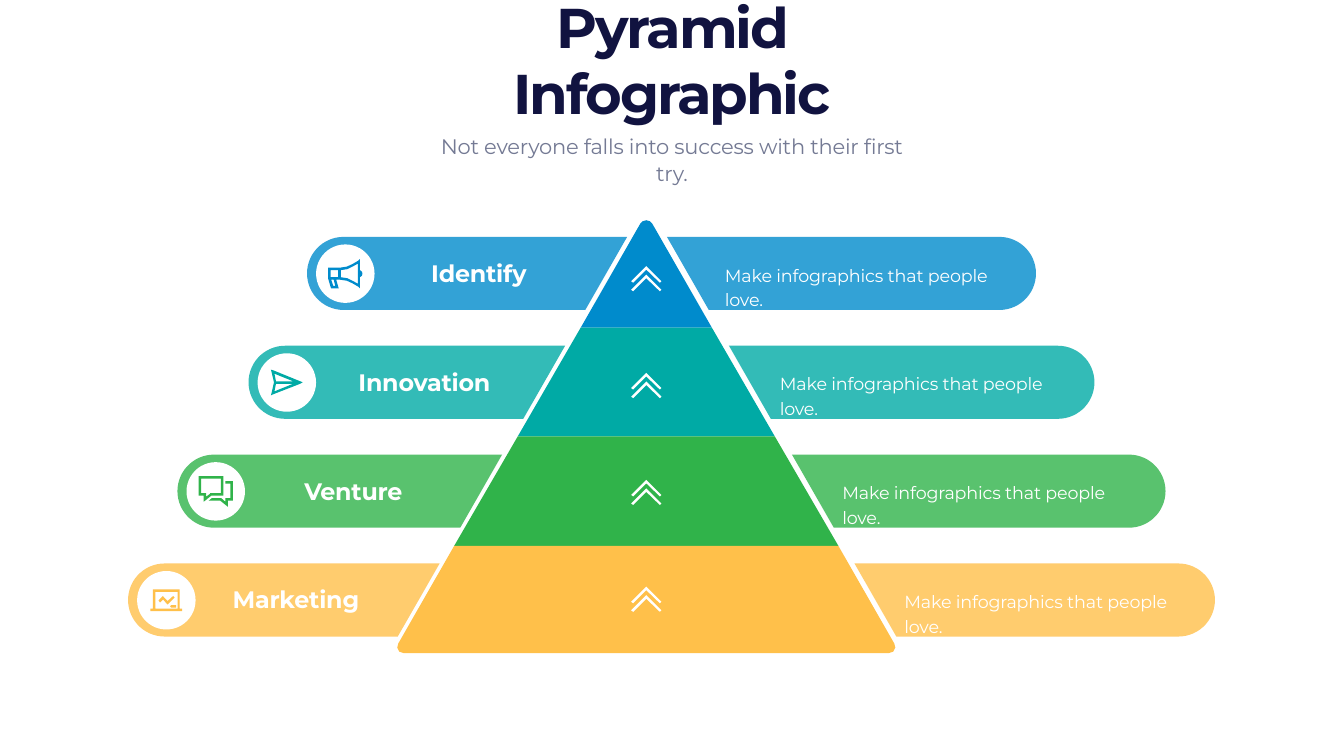
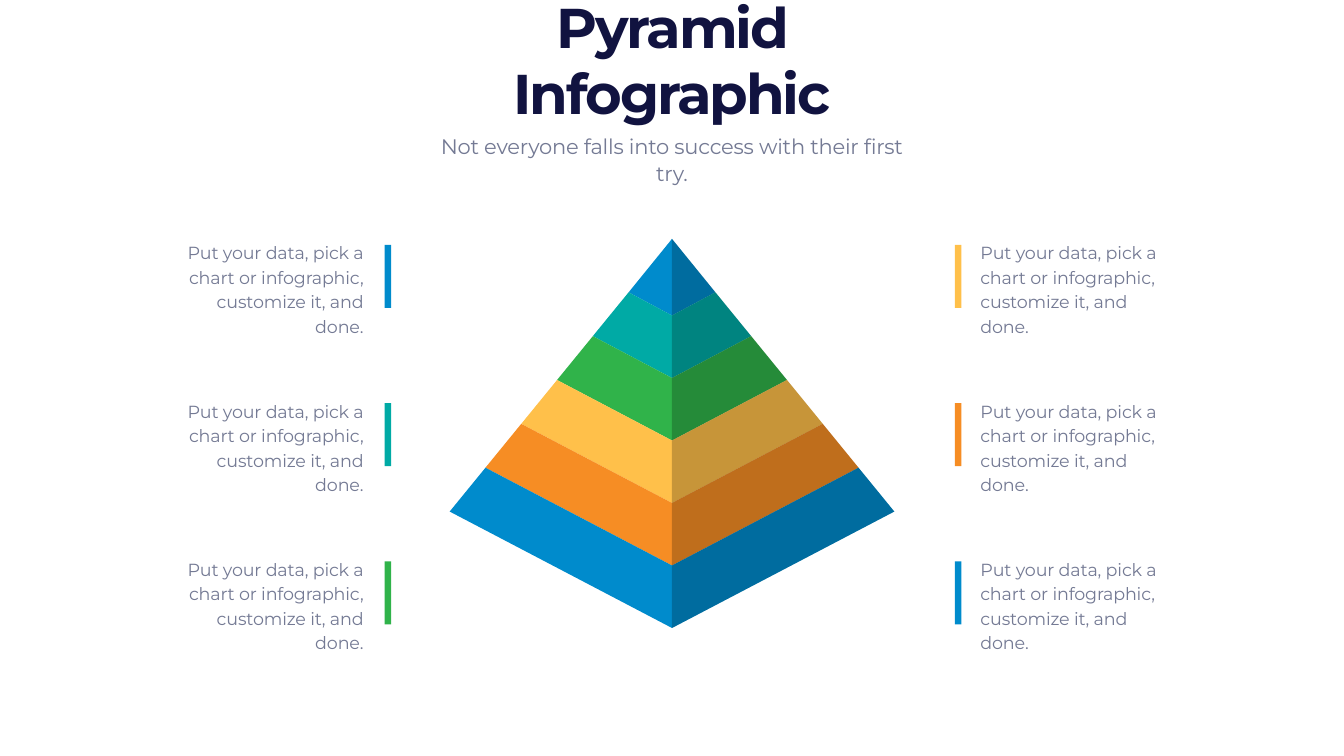
from dataclasses import dataclass
from math import cos, radians, sin
from typing import NamedTuple, Optional

from lxml.etree import SubElement
from pptx import Presentation
from pptx.dml.color import RGBColor
from pptx.enum.shapes import MSO_SHAPE as Preset
from pptx.enum.text import MSO_ANCHOR as Anchor, MSO_AUTO_SIZE as AutoSize, PP_ALIGN as Align
from pptx.oxml.ns import qn
from pptx.shapes.base import BaseShape
from pptx.slide import Slide
from pptx.util import Emu, Inches, Pt

# The page is a grid of square cells; every length below counts columns or rows.
COLUMNS, ROWS = 26.66, 15
CELL = Inches(1)

BLUE = RGBColor(0x00, 0x8B, 0xCC)
TEAL = RGBColor(0x00, 0xAA, 0xA5)
GREEN = RGBColor(0x30, 0xB3, 0x4A)
YELLOW = RGBColor(0xFF, 0xC0, 0x4A)
ORANGE = RGBColor(0xF6, 0x8D, 0x24)
WHITE = RGBColor(0xFF, 0xFF, 0xFF)
BLACK = RGBColor(0x00, 0x00, 0x00)
NAVY = RGBColor(0x11, 0x13, 0x40)
GREY = RGBColor(0x74, 0x7A, 0x94)

FONT = "Montserrat"

Point = tuple[float, float]
Contour = list[Point]


class Area(NamedTuple):
    left: float
    top: float
    width: float
    height: float


@dataclass(frozen=True)
class TextStyle:
    size: int
    colour: RGBColor
    tracking: float
    leading: Optional[float] = None
    bold: bool = False
    align: Align = Align.LEFT
    anchor: Anchor = Anchor.TOP


TITLE = TextStyle(80, NAVY, -3, 94, True, Align.CENTER, Anchor.BOTTOM)
SUBTITLE = TextStyle(30, GREY, -0.3, 38.4, align=Align.CENTER)
LABEL = TextStyle(34, WHITE, -0.3, bold=True, align=Align.CENTER)
DETAIL = TextStyle(25, WHITE, -0.2, 35)
NOTE_LEFT = TextStyle(25, GREY, -0.2, 35, align=Align.RIGHT)
NOTE_RIGHT = TextStyle(25, GREY, -0.2, 35)


def cells(count: float) -> Emu:
    return Emu(round(count * CELL))


def paint(shape: BaseShape, colour: RGBColor, opacity: int = 100) -> None:
    shape.shadow.inherit = False
    shape.line.fill.background()
    shape.fill.solid()
    shape.fill.fore_color.rgb = colour
    if opacity < 100:
        colour_tag = shape.element.spPr.find(f".//{qn('a:srgbClr')}")
        SubElement(colour_tag, qn("a:alpha")).set("val", str(opacity * 1000))


def draw_preset(page: Slide, preset: Preset, area: Area, colour: RGBColor) -> None:
    paint(page.shapes.add_shape(preset, *map(cells, area)), colour)


def draw_outline(page: Slide, contours: list[Contour], colour: RGBColor, opacity: int = 100) -> None:
    """Draw closed contours as one freeform; inner contours become holes."""
    scaled = [[(cells(x), cells(y)) for x, y in contour] for contour in contours]
    builder = page.shapes.build_freeform(*scaled[0][0], scale=1.0)
    for index, (start, *rest) in enumerate(scaled):
        if index:
            builder.move_to(*start)
        builder.add_line_segments(rest, close=True)
    paint(builder.convert_to_shape(), colour, opacity)


def draw_icon(page: Slide, icon: list[Contour], centre: Point, colour: RGBColor) -> None:
    """Centre an icon, given in hundredths of a cell from its top left corner."""
    width = max(x for contour in icon for x, _ in contour) / 100
    height = max(y for contour in icon for _, y in contour) / 100
    left, top = centre[0] - width / 2, centre[1] - height / 2
    draw_outline(page, [[(left + x / 100, top + y / 100) for x, y in contour]
                        for contour in icon], colour)


def write(page: Slide, area: Area, text: str, style: TextStyle) -> None:
    frame = page.shapes.add_textbox(*map(cells, area)).text_frame
    frame.word_wrap = True
    frame.auto_size = AutoSize.SHAPE_TO_FIT_TEXT
    frame.vertical_anchor = style.anchor
    para = frame.paragraphs[0]
    para.text = text
    para.alignment = style.align
    if style.leading:
        para.line_spacing = Pt(style.leading)
    font = para.font
    font.name, font.size, font.bold = FONT, Pt(style.size), style.bold
    font.color.rgb = style.colour
    font._element.set("spc", str(round(style.tracking * 100)))


def add_titled_page(deck: Presentation) -> Slide:
    page = deck.slides.add_slide(deck.slide_layouts[6])
    write(page, Area(8.16, 1.12, 10.34, 1.42), "Pyramid Infographic", TITLE)
    write(page, Area(8.56, 2.57, 9.54, 0.6),
          "Not everyone falls into success with their first try.", SUBTITLE)
    return page


# Icons, in hundredths of a cell
MEGAPHONE = [
    [(6, 41), (11, 41), (14, 53), (10, 53)],
    [(5, 22), (20, 22), (20, 36), (5, 36)],
    [(59, 9), (59, 49), (50, 44), (38, 38), (25, 36), (25, 22), (38, 20), (50, 14)],
    [(63, 0), (60, 3), (48, 10), (37, 15), (24, 17), (0, 17), (0, 39), (5, 56), (6, 58),
     (21, 58), (20, 55), (16, 41), (24, 41), (37, 43), (48, 48), (60, 55), (63, 58),
     (63, 36), (67, 33), (68, 29), (67, 25), (63, 22)],
]
PAPER_PLANE = [
    [(10, 28), (44, 28), (7, 43)],
    [(7, 8), (44, 23), (10, 23)],
    [(0, 0), (1, 4), (6, 25), (1, 47), (0, 51), (4, 49), (58, 28), (63, 25), (58, 23), (4, 1)],
]
CHAT = [
    [(53, 10), (53, 15), (63, 15), (63, 44), (53, 44), (53, 51), (45, 44), (26, 44),
     (20, 49), (43, 49), (58, 61), (58, 49), (68, 49), (68, 10)],
    [(5, 5), (44, 5), (44, 34), (23, 34), (23, 35), (15, 41), (15, 34), (5, 34)],
    [(0, 0), (0, 39), (10, 39), (10, 51), (14, 48), (25, 39), (49, 39), (49, 0)],
]
LAPTOP = [
    [(41, 31), (39, 34), (41, 36), (51, 36), (51, 31)],
    [(45, 13), (34, 23), (26, 15), (25, 13), (23, 15), (16, 22), (19, 26), (25, 20),
     (32, 28), (34, 30), (36, 28), (48, 16)],
    [(10, 5), (54, 5), (54, 38), (10, 38)],
    [(5, 0), (5, 38), (0, 38), (0, 43), (63, 43), (63, 38), (58, 38), (58, 0)],
]
CHEVRON = [(30, 0), (0, 30), (4, 33), (30, 7), (57, 33), (60, 30)]
DOUBLE_CHEVRON = [CHEVRON, [(x, y + 17) for x, y in CHEVRON]]


@dataclass(frozen=True)
class Level:
    label: str
    colour: RGBColor
    icon: list[Contour]
    pill_end: float
    pill_inner: float
    label_left: float
    detail_left: float
    side: Contour  # right side of the tier: half width and row, downwards


LEVELS = [
    Level("Identify", BLUE, MEGAPHONE, 6.09, 12.44, 7.83, 14.28,
          [(0, 4.37), (0.07, 4.39), (0.12, 4.44), (1.3, 6.5)]),
    Level("Innovation", TEAL, PAPER_PLANE, 4.93, 11.21, 6.75, 15.37,
          [(1.3, 6.5), (2.55, 8.66)]),
    Level("Venture", GREEN, CHAT, 3.52, 9.96, 5.34, 16.61,
          [(2.55, 8.66), (3.81, 10.83)]),
    Level("Marketing", YELLOW, LAPTOP, 2.54, 8.72, 4.2, 17.84,
          [(3.81, 10.83), (4.92, 12.77), (4.94, 12.85), (4.9, 12.93), (4.81, 12.96)]),
]
TIER_AXIS = 12.82
PILL_TOP, PILL_STEP, PILL_HEIGHT, PILL_SLANT = 4.7, 2.16, 1.45, 0.83
PILL_ENDS_SUM, PILL_INNERS_SUM = 26.64, 25.67  # left plus right column
BADGE = 1.16
CHEVRON_CENTRE, CHEVRON_STEP = 5.53, 2.12


def draw_pill(page: Slide, end: float, inner: float, top: float, colour: RGBColor) -> None:
    """Draw a band that is round at its end and slanted along the pyramid."""
    inward = 1 if inner > end else -1
    radius = PILL_HEIGHT / 2
    arc = [(end + inward * radius * (1 - cos(radians(angle))),
            top + radius * (1 - sin(radians(angle)))) for angle in range(-90, 91, 6)]
    slant = [(inner, top), (inner - inward * PILL_SLANT, top + PILL_HEIGHT)]
    draw_outline(page, [arc + slant], colour, 80)


def draw_level(page: Slide, row: int, level: Level) -> None:
    top = PILL_TOP + row * PILL_STEP
    right = [(TIER_AXIS + half, y) for half, y in level.side]
    left = [(TIER_AXIS - half, y) for half, y in reversed(level.side)]
    draw_outline(page, [right + left], level.colour)
    draw_icon(page, DOUBLE_CHEVRON, (TIER_AXIS, CHEVRON_CENTRE + row * CHEVRON_STEP), WHITE)

    draw_pill(page, level.pill_end, level.pill_inner, top, level.colour)
    draw_pill(page, PILL_ENDS_SUM - level.pill_end, PILL_INNERS_SUM - level.pill_inner,
              top, level.colour)

    badge = Area(level.pill_end + 0.18, top + 0.15, BADGE, BADGE)
    draw_preset(page, Preset.OVAL, badge, WHITE)
    draw_icon(page, level.icon, (badge.left + BADGE / 2, badge.top + BADGE / 2), level.colour)

    write(page, Area(level.label_left, top + 0.38, 3.34, 0.67), level.label, LABEL)
    write(page, Area(level.detail_left, top + 0.43, 5.82, 0.55),
          "Make infographics that people love.", DETAIL)


def build_tier_page(deck: Presentation) -> None:
    page = add_titled_page(deck)
    for row, level in enumerate(LEVELS):
        draw_level(page, row, level)


LAYER_COLOURS = [BLUE, TEAL, GREEN, YELLOW, ORANGE, BLUE]
APEX = (COLUMNS / 2, 4.74)


@dataclass(frozen=True)
class NoteColumn:
    bar_left: float
    note_left: float
    style: TextStyle
    colours: list[RGBColor]


NOTE_COLUMNS = [
    NoteColumn(7.63, 3.39, NOTE_LEFT, LAYER_COLOURS[:3]),
    NoteColumn(18.94, 19.35, NOTE_RIGHT, LAYER_COLOURS[3:]),
]
NOTE_STEP = 3.14


def layer_edge(layer: int, side: int) -> Contour:
    """Return the outer and middle points of a layer's lower edge."""
    if layer < 0:
        return [APEX]
    axis = APEX[0]
    return [(axis + side * (0.86 + 0.71 * layer), 5.8 + 0.87 * layer),
            (axis, 6.26 + 1.24 * layer)]


def build_solid_page(deck: Presentation) -> None:
    page = add_titled_page(deck)
    for layer, colour in enumerate(LAYER_COLOURS):
        for side in (-1, 1):
            face = layer_edge(layer - 1, side) + layer_edge(layer, side)[::-1]
            draw_outline(page, [face], colour)
    shade = [APEX] + layer_edge(len(LAYER_COLOURS) - 1, 1)
    draw_outline(page, [shade], BLACK, 22)

    for column in NOTE_COLUMNS:
        for row, colour in enumerate(column.colours):
            shift = row * NOTE_STEP
            draw_preset(page, Preset.RECTANGLE,
                        Area(column.bar_left, 4.86 + shift, 0.13, 1.25), colour)
            write(page, Area(column.note_left, 4.69 + shift, 3.92, 1.53),
                  "Put your data, pick a chart or infographic, customize it, and done.",
                  column.style)


def main() -> None:
    deck = Presentation()
    deck.slide_width, deck.slide_height = cells(COLUMNS), cells(ROWS)
    build_tier_page(deck)
    build_solid_page(deck)
    deck.save("out.pptx")


if __name__ == "__main__":
    main()
